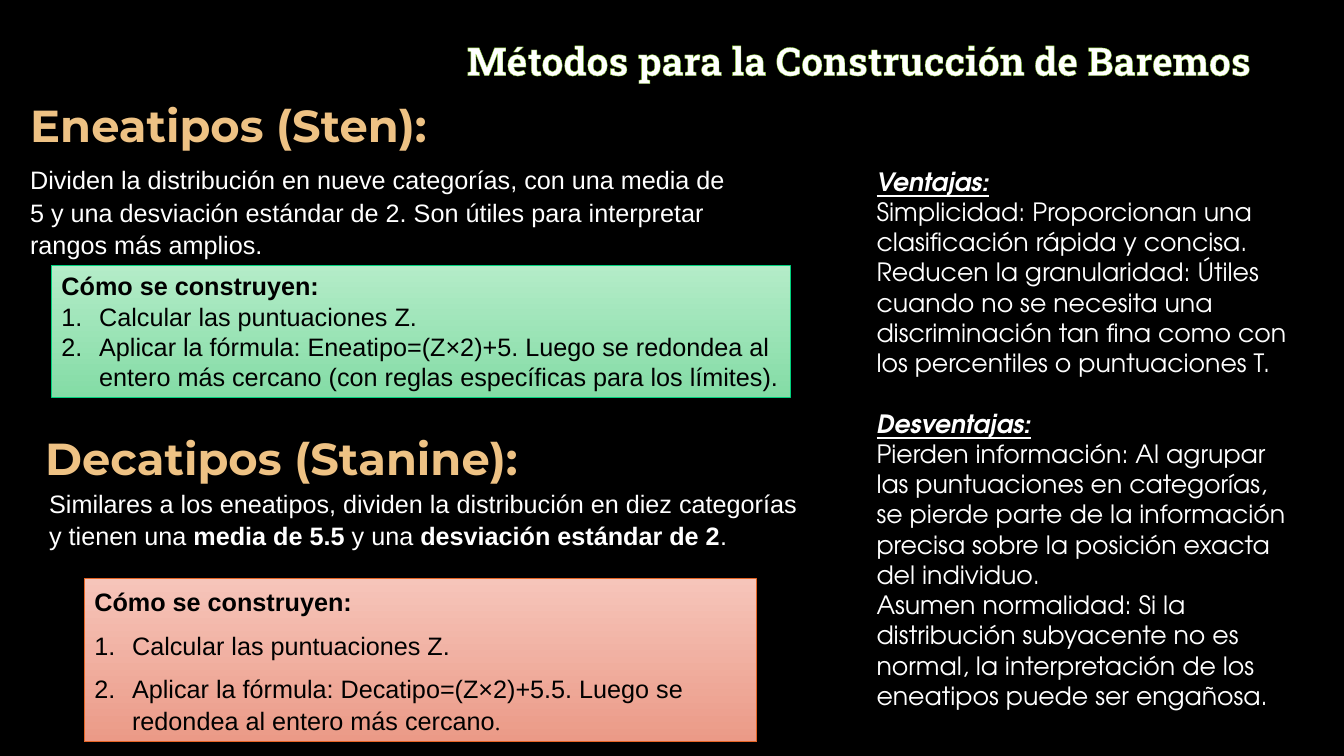
from dataclasses import dataclass

from lxml.etree import SubElement
from pptx import Presentation
from pptx.dml.color import RGBColor
from pptx.enum.shapes import MSO_SHAPE as Shape
from pptx.enum.text import MSO_ANCHOR as Anchor, MSO_AUTO_SIZE as AutoSize, PP_ALIGN as Align
from pptx.oxml.ns import qn
from pptx.util import Cm, Pt


@dataclass(frozen=True)
class Theme:
    background: str = "000000"
    light: str = "FFFFFF"
    dark: str = "000000"
    heading: str = "EEC284"
    heading_outline: str = "E29932"
    title_outline: str = "84C72A"
    green: tuple = ("B4ECC8", "84DCA6", "01D17D")
    coral: tuple = ("F6C5BA", "EB9A87", "E56526")
    title_font: str = "Roboto Slab"
    heading_font: str = "Montserrat"
    body_font: str = "Arial"
    side_font: str = "TeX Gyre Adventor"
    title_size: int = 28
    heading_size: int = 32
    body_size: int = 18
    stop_size: int = 16


THEME = Theme()


def rgb(value):
    return RGBColor.from_string(value)


def add_run(p, text, color=THEME.light, font=THEME.body_font, size=THEME.body_size,
            bold=False, italic=False, underline=False):
    r = p.add_run()
    r.text = text
    f = r.font
    f.name, f.size, f.bold, f.italic, f.underline = font, Pt(size), bold, italic, underline
    f.color.rgb = rgb(color)
    return r


def outline(r, color, width):
    """Draw a thin line round the letters of a run."""
    r_pr = r.font._element
    ln = SubElement(r_pr, qn("a:ln"), w=str(Pt(width)))
    SubElement(SubElement(ln, qn("a:solidFill")), qn("a:srgbClr"), val=color)
    r_pr.insert(0, ln)


def add_paragraph(tf, loose=False):
    """Return the next paragraph, using the empty first one if it is free."""
    p = tf.paragraphs[0]
    if p.runs:
        p = tf.add_paragraph()
    p.alignment = Align.LEFT
    if loose:
        p.line_spacing, p.space_after = 1.07, Pt(8)
    return p


def number(p):
    p_pr = p._p.get_or_add_pPr()
    p_pr.set("marL", str(Cm(0.95)))
    p_pr.set("indent", str(-Cm(0.95)))
    SubElement(p_pr, qn("a:buFont"), typeface="+mj-lt")
    SubElement(p_pr, qn("a:buAutoNum"), type="arabicPeriod")


def add_text_box(slide, left, top, width, height):
    sp = slide.shapes.add_textbox(Cm(left), Cm(top), Cm(width), Cm(height))
    tf = sp.text_frame
    tf.word_wrap = True
    tf.auto_size = AutoSize.SHAPE_TO_FIT_TEXT
    return tf


def set_title(slide, text):
    sp = slide.shapes.title
    sp.left, sp.top, sp.width, sp.height = Cm(11.51), Cm(0.71), Cm(22.36), Cm(1.45)
    tf = sp.text_frame
    tf.auto_size, tf.vertical_anchor = AutoSize.NONE, Anchor.TOP
    r = add_run(add_paragraph(tf, loose=True), text, font=THEME.title_font,
                size=THEME.title_size, bold=True)
    outline(r, THEME.title_outline, 0.52)


def add_heading(tf, text, loose=False):
    r = add_run(add_paragraph(tf, loose), text, THEME.heading, THEME.heading_font,
                THEME.heading_size, bold=True)
    outline(r, THEME.heading_outline, 1)


def add_steps_box(slide, left, top, width, height, colors, steps, loose=False):
    """Add a gradient box with its numbered steps; return the last paragraph."""
    sp = slide.shapes.add_shape(Shape.RECTANGLE, Cm(left), Cm(top), Cm(width), Cm(height))
    sp.shadow.inherit = False
    sp.fill.gradient()
    sp.fill.gradient_angle = 270
    for stop, color in zip(sp.fill.gradient_stops, colors):
        stop.color.rgb = rgb(color)
    sp.line.color.rgb = rgb(colors[2])
    sp.line.width = Pt(0.75)
    tf = sp.text_frame
    tf.word_wrap = True
    tf.auto_size = AutoSize.SHAPE_TO_FIT_TEXT
    add_run(add_paragraph(tf, loose), "Cómo se construyen:", THEME.dark, bold=True)
    for step in steps:
        p = add_paragraph(tf, loose)
        number(p)
        add_run(p, step, THEME.dark)
    return p


def add_side_section(tf, heading, points, gap=0):
    p = add_paragraph(tf)
    p.space_before = Pt(gap)
    add_run(p, heading, font=THEME.side_font, bold=True, italic=True, underline=True)
    for point in points:
        add_run(add_paragraph(tf), point, font=THEME.side_font)


def main():
    prs = Presentation()
    prs.slide_width, prs.slide_height = Cm(33.87), Cm(19.05)
    slide = prs.slides.add_slide(prs.slide_layouts[5])
    slide.background.fill.solid()
    slide.background.fill.fore_color.rgb = rgb(THEME.background)
    set_title(slide, "Métodos para la Construcción de Baremos")

    tf = add_text_box(slide, 0.51, 2.24, 18.16, 4.45)
    add_heading(tf, "Eneatipos (Sten):", loose=True)
    add_run(add_paragraph(tf, loose=True),
            "Dividen la distribución en nueve categorías, con una media de 5 y una desviación "
            "estándar de 2. Son útiles para interpretar rangos más amplios.")
    add_steps_box(slide, 1.3, 6.68, 18.62, 3.33, THEME.green, [
        "Calcular las puntuaciones Z.",
        "Aplicar la fórmula: Eneatipo=(Z×2)+5. Luego se redondea al entero más cercano "
        "(con reglas específicas para los límites).",
    ])

    add_heading(add_text_box(slide, 0.89, 10.74, 13.54, 1.63), "Decatipos (Stanine):")
    p = add_paragraph(add_text_box(slide, 0.99, 12.12, 19.43, 1.91), loose=True)
    add_run(p, "Similares a los eneatipos, dividen la distribución en diez categorías "
               "y tienen una ")
    add_run(p, "media de 5.5", bold=True)
    add_run(p, " y una ")
    add_run(p, "desviación estándar de 2", bold=True)
    add_run(p, ".")
    last = add_steps_box(slide, 2.13, 14.58, 16.94, 4.11, THEME.coral, [
        "Calcular las puntuaciones Z.",
        "Aplicar la fórmula: Decatipo=(Z×2)+5.5. Luego se redondea al entero más cercano",
    ], loose=True)
    add_run(last, ".", THEME.dark, "Times New Roman", THEME.stop_size)

    tf = add_text_box(slide, 21.84, 4.06, 11.1, 14.1)
    add_side_section(tf, "Ventajas:", [
        "Simplicidad: Proporcionan una clasificación rápida y concisa.",
        "Reducen la granularidad: Útiles cuando no se necesita una discriminación tan fina "
        "como con los percentiles o puntuaciones T.",
    ])
    add_side_section(tf, "Desventajas:", [
        "Pierden información: Al agrupar las puntuaciones en categorías, se pierde parte de "
        "la información precisa sobre la posición exacta del individuo.",
        "Asumen normalidad: Si la distribución subyacente no es normal, la interpretación "
        "de los eneatipos puede ser engañosa.",
    ], gap=21.6)

    prs.save("out.pptx")


if __name__ == "__main__":
    main()
